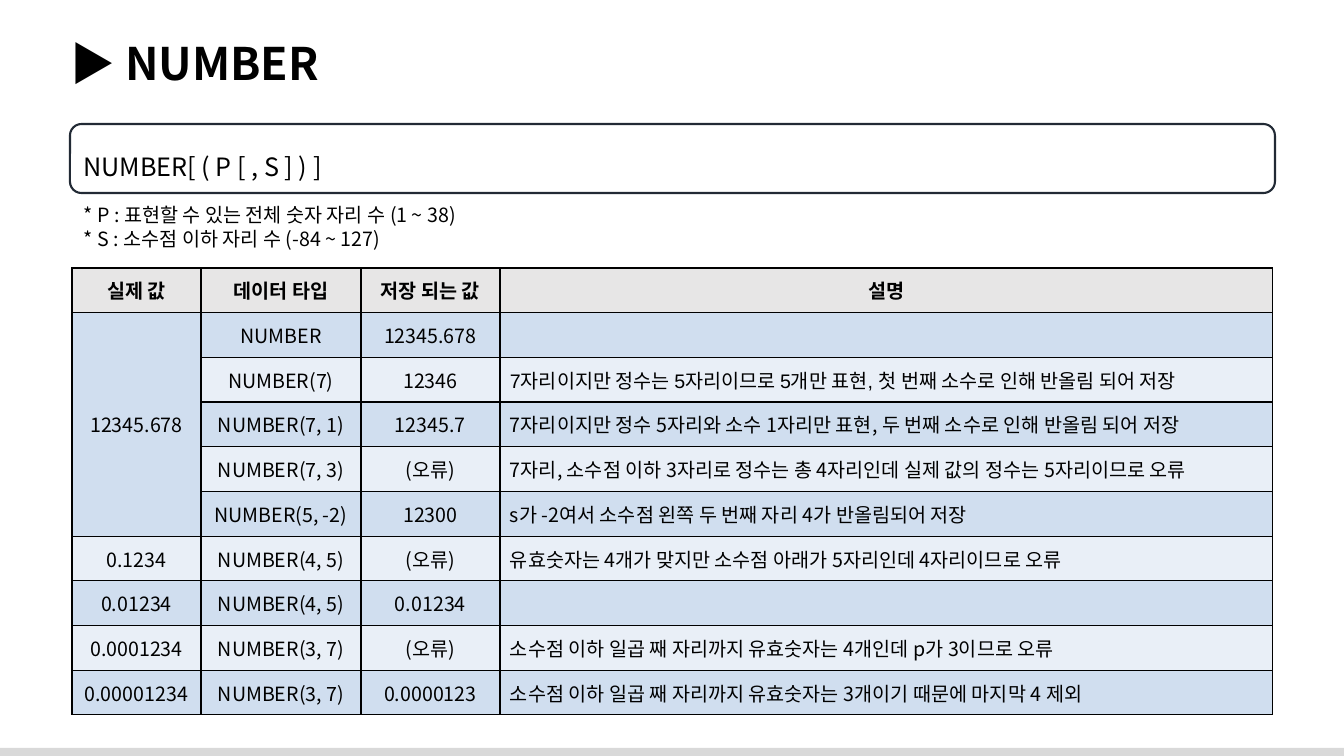
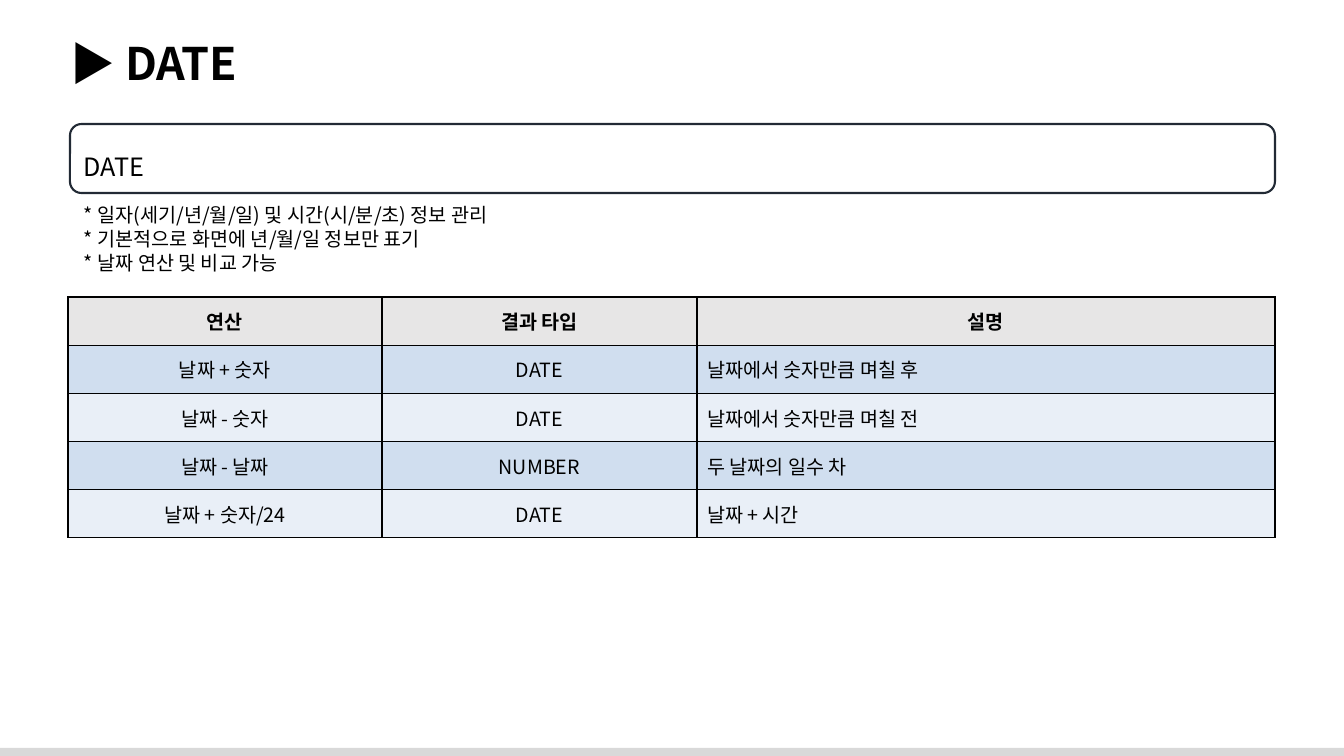
"""Build two slides on the NUMBER and DATE data types."""
import pptx
import pptx.dml.color
import pptx.enum.shapes
import pptx.enum.text
import pptx.oxml.ns
import pptx.util
from lxml import etree

SCALE = 12192000 / 1344
FONT = "Noto Sans CJK KR"
COLORS = {
    "text": "000000",
    "outline": "222A35",
    "band": "D9D9D9",
    "header": "E7E6E6",
    "odd": "D0DEEF",
    "even": "E9EFF7",
}
ALIGN = pptx.enum.text.PP_ALIGN
ANCHOR = pptx.enum.text.MSO_ANCHOR
SHAPES = pptx.enum.shapes.MSO_SHAPE


def px(*lengths):
    """Turn pixel lengths into EMU."""
    return [pptx.util.Emu(round(length * SCALE)) for length in lengths]


def write(frame, text, size=14, bold=False, align=ALIGN.LEFT, anchor=ANCHOR.TOP, font=FONT, spacing=None):
    """Fill a text frame, one paragraph for each line of text."""
    frame.word_wrap = True
    frame.vertical_anchor = anchor
    for index, line in enumerate(text.split("\n")):
        paragraph = frame.add_paragraph() if index else frame.paragraphs[0]
        paragraph.alignment = align
        if spacing:
            paragraph.line_spacing = pptx.util.Pt(spacing)
        run = paragraph.add_run()
        run.text = line
        run.font.size = pptx.util.Pt(size)
        run.font.bold = bold
        run.font.color.rgb = pptx.dml.color.RGBColor.from_string(COLORS["text"])
        run.font.name = font
        east_asian = etree.SubElement(run._r.get_or_add_rPr(), pptx.oxml.ns.qn("a:ea"))
        east_asian.set("typeface", FONT)


PAGES = [
    {
        "title": "▶ NUMBER",
        "syntax": "NUMBER[ ( P [ , S ] ) ]",
        "notes": "* P : 표현할 수 있는 전체 숫자 자리 수 (1 ~ 38)\n* S : 소수점 이하 자리 수 (-84 ~ 127)",
        "notes_size": (444, 57),
        "table_at": (72, 268),
        "columns": (129, 160, 139, 773),
        "table_height": 447,
        "merge": ((1, 0), (5, 0)),
        "arial_cells": {(2, 3)},
        "rows": [
            ("실제 값", "데이터 타입", "저장 되는 값", "설명"),
            ("12345.678", "NUMBER", "12345.678", ""),
            ("", "NUMBER(7)", "12346", "7자리이지만 정수는 5자리이므로 5개만 표현, 첫 번째 소수로 인해 반올림 되어 저장"),
            ("", "NUMBER(7, 1)", "12345.7", "7자리이지만 정수 5자리와 소수 1자리만 표현, 두 번째 소수로 인해 반올림 되어 저장"),
            ("", "NUMBER(7, 3)", "(오류)", "7자리, 소수점 이하 3자리로 정수는 총 4자리인데 실제 값의 정수는 5자리이므로 오류"),
            ("", "NUMBER(5, -2)", "12300", "s가 -2여서 소수점 왼쪽 두 번째 자리 4가 반올림되어 저장"),
            ("0.1234", "NUMBER(4, 5)", "(오류)", "유효숫자는 4개가 맞지만 소수점 아래가 5자리인데 4자리이므로 오류"),
            ("0.01234", "NUMBER(4, 5)", "0.01234", ""),
            ("0.0001234", "NUMBER(3, 7)", "(오류)", "소수점 이하 일곱 째 자리까지 유효숫자는 4개인데 p가 3이므로 오류"),
            ("0.00001234", "NUMBER(3, 7)", "0.0000123", "소수점 이하 일곱 째 자리까지 유효숫자는 3개이기 때문에 마지막 4 제외"),
        ],
    },
    {
        "title": "▶ DATE",
        "syntax": "DATE",
        "notes": "* 일자(세기/년/월/일) 및 시간(시/분/초) 정보 관리\n"
                 "* 기본적으로 화면에 년/월/일 정보만 표기\n* 날짜 연산 및 비교 가능",
        "notes_size": (463, 82),
        "table_at": (68, 297),
        "columns": (314, 315, 578),
        "table_height": 241,
        "merge": None,
        "arial_cells": {(1, 2), (2, 2)},
        "rows": [
            ("연산", "결과 타입", "설명"),
            ("날짜 + 숫자", "DATE", "날짜에서 숫자만큼 며칠 후"),
            ("날짜 - 숫자", "DATE", "날짜에서 숫자만큼 며칠 전"),
            ("날짜 - 날짜", "NUMBER", "두 날짜의 일수 차"),
            ("날짜 + 숫자/24", "DATE", "날짜 + 시간"),
        ],
    },
]

presentation = pptx.Presentation()
presentation.slide_width, presentation.slide_height = px(1344, 756)
layout = presentation.slide_layouts[5]

for number, page in enumerate(PAGES):
    slide = presentation.slides.add_slide(layout)
    if number == 0:
        band = slide.shapes.add_shape(SHAPES.RECTANGLE, *px(0, 748, 1344, 8))
        band.shadow.inherit = False
        band.fill.solid()
        band.fill.fore_color.rgb = pptx.dml.color.RGBColor.from_string(COLORS["band"])
        band.line.fill.background()
        presentation.slide_master.shapes.element.insert(2, band.element)

    title = slide.shapes.title
    title.left, title.top, title.width, title.height = px(60, 28, 1270, 65)
    title.text_frame.auto_size = pptx.enum.text.MSO_AUTO_SIZE.NONE
    write(title.text_frame, page["title"], size=32, bold=True, spacing=40)

    syntax_box = slide.shapes.add_shape(SHAPES.ROUNDED_RECTANGLE, *px(70, 124, 1205, 69))
    syntax_box.shadow.inherit = False
    syntax_box.fill.background()
    syntax_box.line.color.rgb = pptx.dml.color.RGBColor.from_string(COLORS["outline"])
    syntax_box.line.width = pptx.util.Pt(1.5)
    write(syntax_box.text_frame, page["syntax"], size=18, anchor=ANCHOR.MIDDLE, spacing=33)

    notes = slide.shapes.add_textbox(*px(74, 198, *page["notes_size"]))
    write(notes.text_frame, page["notes"], spacing=17)

    rows, columns = page["rows"], page["columns"]
    frame = slide.shapes.add_table(
        len(rows), len(columns), *px(*page["table_at"], sum(columns), page["table_height"]))
    table = frame.table
    for column, width in zip(table.columns, px(*columns)):
        column.width = width
    for row_index, values in enumerate(rows):
        table.rows[row_index].height = px(page["table_height"] / len(rows))[0]
        fill = "header" if row_index == 0 else "odd" if row_index % 2 else "even"
        for column_index, value in enumerate(values):
            cell = table.cell(row_index, column_index)
            cell.vertical_anchor = ANCHOR.MIDDLE
            if value:
                is_description = row_index > 0 and column_index == len(columns) - 1
                write(
                    cell.text_frame, value, bold=row_index == 0, anchor=ANCHOR.MIDDLE,
                    align=ALIGN.LEFT if is_description else ALIGN.CENTER,
                    font="Arial" if (row_index, column_index) in page["arial_cells"] else FONT)
            properties = cell._tc.get_or_add_tcPr()
            for side in ("a:lnL", "a:lnR", "a:lnT", "a:lnB"):
                border = etree.SubElement(properties, pptx.oxml.ns.qn(side), w="12700")
                border_fill = etree.SubElement(border, pptx.oxml.ns.qn("a:solidFill"))
                etree.SubElement(border_fill, pptx.oxml.ns.qn("a:srgbClr"), val=COLORS["text"])
            cell.fill.solid()
            cell.fill.fore_color.rgb = pptx.dml.color.RGBColor.from_string(COLORS[fill])
    if page["merge"]:
        first, last = page["merge"]
        table.cell(*first).merge(table.cell(*last))

presentation.save("out.pptx")
